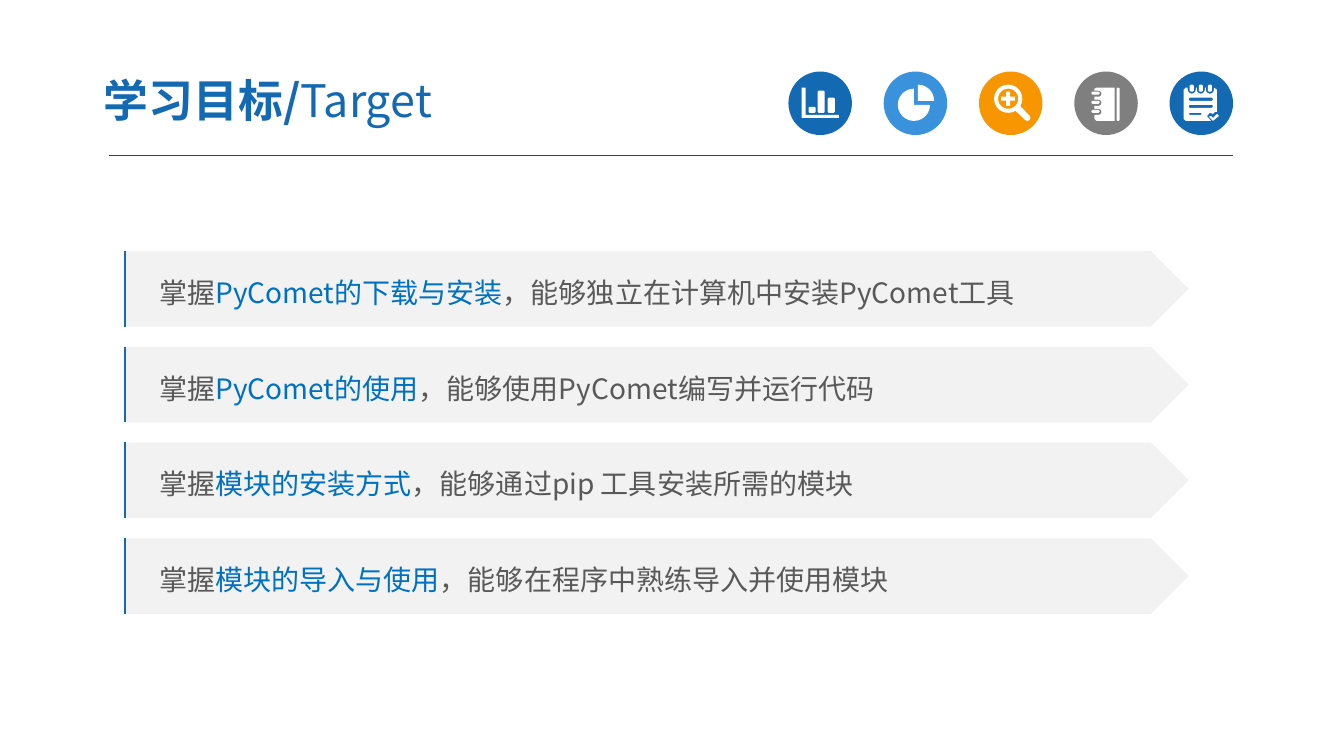
from math import cos, radians, sin
from lxml.etree import SubElement
from pptx import Presentation
from pptx.dml.color import RGBColor
from pptx.enum.shapes import MSO_CONNECTOR, MSO_SHAPE
from pptx.enum.text import MSO_ANCHOR, PP_ALIGN
from pptx.oxml.ns import qn
from pptx.util import Inches, Pt

FONT = "Noto Sans CJK SC"
BLUE = RGBColor(0x13, 0x69, 0xB2)
SKY = RGBColor(0x39, 0x92, 0xDB)
ORANGE = RGBColor(0xF7, 0x96, 0x00)
GREY = RGBColor(0x7F, 0x7F, 0x7F)
RULE = RGBColor(0x40, 0x40, 0x40)
ACCENT = RGBColor(0x00, 0x70, 0xC0)
BODY = RGBColor(0x59, 0x59, 0x59)
PALE = RGBColor(0xF2, 0xF2, 0xF2)
WHITE = RGBColor(0xFF, 0xFF, 0xFF)

TITLE = [("学习目标/", True), ("Target", False)]
GOALS = [
    ("掌握", "PyComet的下载与安装", "，能够独立在计算机中安装PyComet工具"),
    ("掌握", "PyComet的使用", "，能够使用PyComet编写并运行代码"),
    ("掌握", "模块的安装方式", "，能够通过pip 工具安装所需的模块"),
    ("掌握", "模块的导入与使用", "，能够在程序中熟练导入并使用模块"),
]

ICON_LEFT, ICON_RIGHT, ICON_TOP, ICON_SIZE = 7.82, 11.6, 0.71, 0.63
GOAL_LEFT, GOAL_TOP, GOAL_WIDTH, GOAL_HEIGHT, GOAL_PITCH = 1.23, 2.49, 10.56, 0.75, 0.95
RING_STEPS = (0.22, 0.31, 0.4)


def box(left, top, width, height, cut=0.01):
    right, bottom = left + width, top + height
    return [(left + cut, top), (right - cut, top), (right, top + cut), (right, bottom - cut),
            (right - cut, bottom), (left + cut, bottom), (left, bottom - cut), (left, top + cut)]


def arc(center_x, center_y, radius, start, end, steps=8):
    angles = [radians(start + (end - start) * step / steps) for step in range(steps + 1)]
    return [(center_x + radius * cos(angle), center_y + radius * sin(angle)) for angle in angles]


def chart_outlines():
    axes = [(0.13, 0.16), (0.17, 0.16), (0.17, 0.43), (0.5, 0.43), (0.5, 0.46), (0.13, 0.46)]
    return [axes, box(0.2, 0.35, 0.07, 0.06), box(0.29, 0.19, 0.07, 0.22), box(0.39, 0.26, 0.07, 0.15)]


def pie_outlines():
    return [arc(0.3, 0.33, 0.16, 0, 270, 18) + [(0.3, 0.33)],
            arc(0.34, 0.29, 0.16, -90, 0) + [(0.34, 0.29)]]


def magnifier_outlines():
    x, y = 0.29, 0.27
    tip = 0.27 * cos(radians(45))
    lens = arc(x, y, 0.14, 59, 391, 24) + arc(x + tip, y + tip, 0.03, -45, 135, 4)
    inner, outer = 0.02, 0.07
    plus = [(x - inner, y - outer), (x + inner, y - outer), (x + inner, y - inner),
            (x + outer, y - inner), (x + outer, y + inner), (x + inner, y + inner),
            (x + inner, y + outer), (x - inner, y + outer), (x - inner, y + inner),
            (x - outer, y + inner), (x - outer, y - inner), (x - inner, y - inner)]
    return [lens, arc(x, y, 0.1, 0, 345, 23), plus]


def notebook_outlines():
    cover = [(0.4, 0.16), (0.4, 0.49), (0.22, 0.49), (0.2, 0.47)]
    for y in reversed(RING_STEPS):
        cover += [(0.2, y + 0.03)] + arc(0.24, y, 0.03, 90, -90, 6) + [(0.2, y - 0.03)]
    cover += [(0.2, 0.17), (0.22, 0.16)]
    rings = [box(0.17, y - 0.02, 0.08, 0.03) for y in RING_STEPS]
    return [cover, box(0.42, 0.16, 0.03, 0.33)] + rings


def notepad_outlines():
    page = [(0.14, 0.18), (0.16, 0.16)]
    for x in RING_STEPS:
        page += [(x - 0.04, 0.16)] + arc(x, 0.18, 0.04, 180, 0, 6) + [(x + 0.04, 0.16)]
    page += [(0.47, 0.18), (0.47, 0.4), (0.45, 0.4), (0.43, 0.42), (0.4, 0.41),
             (0.37, 0.44), (0.41, 0.49), (0.16, 0.49), (0.14, 0.47)]
    check = [(0.39, 0.45), (0.41, 0.44), (0.43, 0.46), (0.47, 0.42), (0.49, 0.44), (0.43, 0.49)]
    rings = [box(x - 0.02, 0.13, 0.04, 0.07) for x in RING_STEPS]
    lines = [box(0.19, 0.26, 0.24, 0.03), box(0.19, 0.33, 0.24, 0.03), box(0.19, 0.41, 0.13, 0.02)]
    return [page, check] + rings + lines


ICONS = [(BLUE, chart_outlines()), (SKY, pie_outlines()), (ORANGE, magnifier_outlines()),
         (GREY, notebook_outlines()), (BLUE, notepad_outlines())]

presentation = Presentation()
presentation.slide_width = Inches(13.33)
presentation.slide_height = Inches(7.5)
slide = presentation.slides.add_slide(presentation.slide_layouts[6])


def paint(shape, color):
    shape.shadow.inherit = False
    shape.fill.solid()
    shape.fill.fore_color.rgb = color
    shape.line.fill.background()


def add_filled(kind, left, top, width, height, color):
    shape = slide.shapes.add_shape(kind, Inches(left), Inches(top), Inches(width), Inches(height))
    paint(shape, color)
    return shape


def add_glyph(left, top, outlines):
    placed = [[(Inches(left + x), Inches(top + y)) for x, y in outline] for outline in outlines]
    builder = slide.shapes.build_freeform(*placed[0][0])
    builder.add_line_segments(placed[0][1:], close=True)
    for outline in placed[1:]:
        builder.move_to(*outline[0])
        builder.add_line_segments(outline[1:], close=True)
    paint(builder.convert_to_shape(), WHITE)


def add_line(left, top, right, bottom, color, weight):
    connector = slide.shapes.add_connector(
        MSO_CONNECTOR.STRAIGHT, Inches(left), Inches(top), Inches(right), Inches(bottom))
    connector.line.color.rgb = color
    connector.line.width = Pt(weight)
    SubElement(connector._element.spPr, qn("a:effectLst"))


def add_run(paragraph, text, size, color, bold=False):
    run = paragraph.add_run()
    run.text = text
    run.font.size = Pt(size)
    run.font.bold = bold
    run.font.name = FONT
    run.font.color.rgb = color
    SubElement(run._r.get_or_add_rPr(), qn("a:ea"), typeface=FONT)


add_line(1.08, 1.54, 12.23, 1.54, RULE, 0.75)

icon_pitch = (ICON_RIGHT - ICON_LEFT) / (len(ICONS) - 1)
for column, (disc_color, outlines) in enumerate(ICONS):
    icon_left = ICON_LEFT + column * icon_pitch
    add_filled(MSO_SHAPE.OVAL, icon_left, ICON_TOP, ICON_SIZE, ICON_SIZE, disc_color)
    add_glyph(icon_left, ICON_TOP, outlines)

title = slide.shapes.add_textbox(Inches(0.9), Inches(0.63), Inches(5.22), Inches(0.72))
frame = title.text_frame
frame.word_wrap = True
frame.vertical_anchor = MSO_ANCHOR.MIDDLE
frame.margin_left = frame.margin_right = Inches(0.13)
frame.margin_top = frame.margin_bottom = Inches(0.07)
for text, bold in TITLE:
    add_run(frame.paragraphs[0], text, 32, BLUE, bold)

for row, goal in enumerate(GOALS):
    top = GOAL_TOP + row * GOAL_PITCH
    banner = add_filled(MSO_SHAPE.PENTAGON, GOAL_LEFT, top, GOAL_WIDTH, GOAL_HEIGHT, PALE)
    frame = banner.text_frame
    frame.word_wrap = True
    frame.vertical_anchor = MSO_ANCHOR.MIDDLE
    frame.margin_left = Inches(0.35)
    paragraph = frame.paragraphs[0]
    paragraph.alignment = PP_ALIGN.LEFT
    paragraph.line_spacing = 1.2
    for text, color in zip(goal, (BODY, ACCENT, BODY)):
        add_run(paragraph, text, 20, color)
    add_line(GOAL_LEFT + 0.01, top + GOAL_HEIGHT, GOAL_LEFT + 0.01, top, BLUE, 1.5)

presentation.save("out.pptx")
